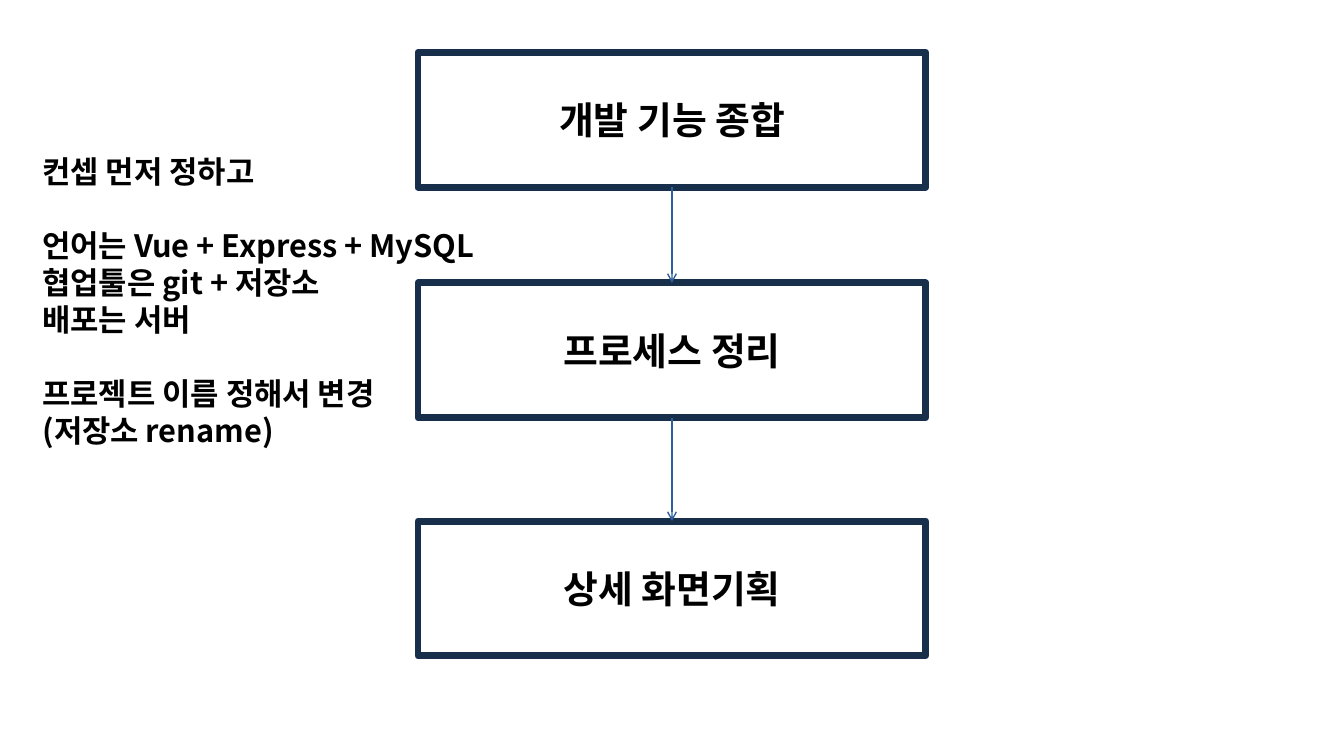
"""Build a planning slide with three linked steps and project notes."""
from dataclasses import dataclass
from itertools import pairwise

from lxml.etree import SubElement
from pptx import Presentation
from pptx.dml.color import RGBColor
from pptx.enum.shapes import MSO_CONNECTOR, MSO_SHAPE
from pptx.enum.text import MSO_ANCHOR, PP_ALIGN
from pptx.oxml.ns import qn
from pptx.shapes.autoshape import Shape
from pptx.slide import Slide
from pptx.text.text import _Paragraph as Paragraph
from pptx.util import Cm, Pt

COLORS = {"text": "000000", "border": "182F4B", "arrow": "2E5F9A"}
FONT = "Noto Sans CJK KR"
SLIDE_WIDTH, SLIDE_HEIGHT = 33.87, 19.05
STEP_WIDTH, STEP_HEIGHT = 12.8, 3.4
NOTE_SIZE, NOTE_PITCH = 22, 26.4


@dataclass
class Step:
    title: str
    top: float


@dataclass
class Note:
    text: str
    starts_group: bool = False


STEPS = [
    Step("개발 기능 종합", 1.32),
    Step("프로세스 정리", 7.13),
    Step("상세 화면기획", 13.13),
]
NOTES = [
    Note("컨셉 먼저 정하고"),
    Note("언어는 Vue + Express + MySQL", True),
    Note("협업툴은 git + 저장소"),
    Note("배포는 서버"),
    Note("프로젝트 이름 정해서 변경", True),
    Note("(저장소 rename)"),
]


def color(name: str) -> RGBColor:
    return RGBColor.from_string(COLORS[name])


def write(paragraph: Paragraph, text: str, size: float) -> None:
    paragraph.text = text
    for run in paragraph.runs:
        run.font.size = Pt(size)
        run.font.bold = True
        run.font.color.rgb = color("text")
        run.font.name = FONT
        SubElement(run._r.get_or_add_rPr(), qn("a:ea"), typeface=FONT)


def draw_step(slide: Slide, step: Step) -> Shape:
    box = slide.shapes.add_shape(
        MSO_SHAPE.RECTANGLE,
        Cm((SLIDE_WIDTH - STEP_WIDTH) / 2), Cm(step.top),
        Cm(STEP_WIDTH), Cm(STEP_HEIGHT),
    )
    box.shadow.inherit = False
    box.fill.background()
    box.line.color.rgb = color("border")
    box.line.width = Pt(5)
    box.text_frame.vertical_anchor = MSO_ANCHOR.MIDDLE
    title = box.text_frame.paragraphs[0]
    title.alignment = PP_ALIGN.CENTER
    write(title, step.title, 27)
    return box


def draw_arrow(slide: Slide, upper: Shape, lower: Shape) -> None:
    arrow = slide.shapes.add_connector(MSO_CONNECTOR.STRAIGHT, 0, 0, 0, 0)
    arrow.begin_connect(upper, 2)
    arrow.end_connect(lower, 0)
    arrow.line.color.rgb = color("arrow")
    arrow.line.width = Pt(1)
    SubElement(arrow.line._get_or_add_ln(), qn("a:tailEnd"), type="arrow")
    SubElement(arrow._element.spPr, qn("a:effectLst"))


def draw_notes(slide: Slide, notes: list[Note]) -> None:
    frame = slide.shapes.add_textbox(Cm(0.82), Cm(3.73), Cm(14.12), Cm(9.55)).text_frame
    frame.word_wrap = True
    for index, note in enumerate(notes):
        line = frame.add_paragraph() if index else frame.paragraphs[0]
        line.line_spacing = Pt(NOTE_PITCH)
        if note.starts_group:
            line.space_before = Pt(NOTE_PITCH)
        write(line, note.text, NOTE_SIZE)


def main() -> None:
    presentation = Presentation()
    presentation.slide_width = Cm(SLIDE_WIDTH)
    presentation.slide_height = Cm(SLIDE_HEIGHT)
    slide = presentation.slides.add_slide(presentation.slide_layouts[6])
    boxes = [draw_step(slide, step) for step in STEPS]
    for upper, lower in pairwise(boxes):
        draw_arrow(slide, upper, lower)
    draw_notes(slide, NOTES)
    presentation.save("out.pptx")


if __name__ == "__main__":
    main()
